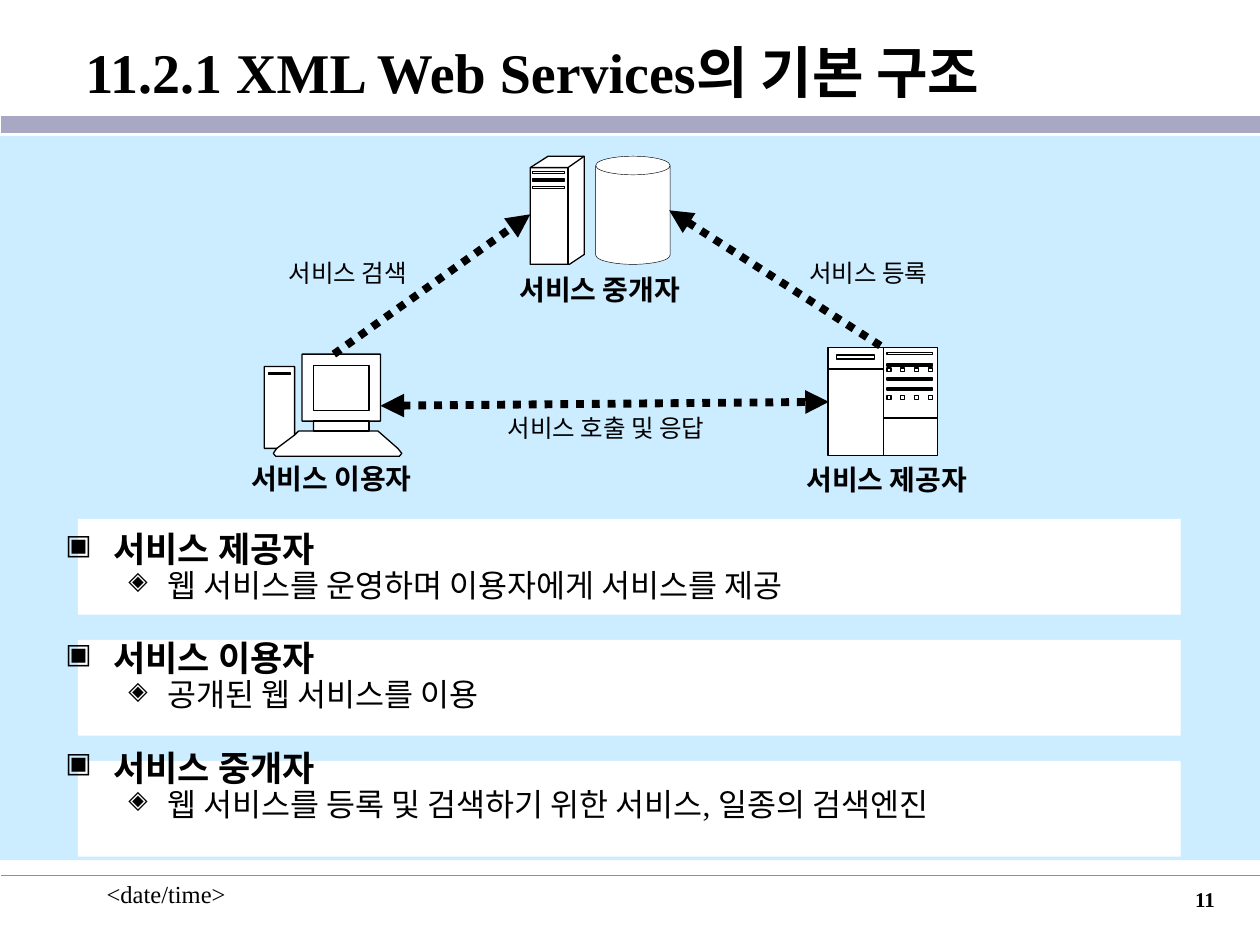
from dataclasses import dataclass
from typing import NamedTuple

from lxml import etree
from pptx import Presentation
from pptx.dml.color import RGBColor
from pptx.enum.dml import MSO_LINE
from pptx.enum.shapes import MSO_CONNECTOR, MSO_SHAPE
from pptx.enum.text import MSO_ANCHOR, PP_ALIGN
from pptx.oxml.ns import qn
from pptx.util import Cm, Pt

STRAIGHT = MSO_CONNECTOR.STRAIGHT
RECTANGLE, CAN = MSO_SHAPE.RECTANGLE, MSO_SHAPE.CAN
DOTTED = MSO_LINE.ROUND_DOT
LEFT, CENTER, RIGHT = PP_ALIGN.LEFT, PP_ALIGN.CENTER, PP_ALIGN.RIGHT
TOP, MIDDLE = MSO_ANCHOR.TOP, MSO_ANCHOR.MIDDLE
SERIF, KOREAN = "Times New Roman", "Noto Sans CJK KR"
COLORS = {
    "ink": "000000",
    "paper": "FFFFFF",
    "panel": "CCECFF",
    "header": "A8A8C4",
    "footer": "8C8CB2",
}


class Box(NamedTuple):
    left: float
    top: float
    width: float
    height: float


class Contour(NamedTuple):
    points: list
    closed: bool = False


@dataclass
class Label:
    text: str
    box: Box
    size: float
    bold: bool = False
    font: str = SERIF
    align: PP_ALIGN = LEFT
    anchor: MSO_ANCHOR = TOP
    wrap: bool = True
    line_spacing: float = 1.0
    space_before: float = 0
    margin_left: float = 0.25


@dataclass
class Line:
    start: tuple
    end: tuple
    color: str
    width: float
    dotted: bool = False
    ends: tuple = ()


@dataclass
class Icon:
    left: float
    top: float
    body: list
    details: list


@dataclass
class Level:
    bullet: str
    size: float
    bold: bool
    margin: float
    indent: float


def bar(left: int, top: int, right: int, bottom: int) -> Contour:
    """Return a closed rectangular contour."""
    return Contour([(left, top), (right, top), (right, bottom), (left, bottom)], True)


def color(name: str) -> RGBColor:
    """Look up a colour by name."""
    return RGBColor.from_string(COLORS[name])


def format_runs(paragraph, size: float, bold: bool, font: str = SERIF) -> None:
    """Format every run of a paragraph."""
    for run in paragraph.runs:
        run.font.size, run.font.bold, run.font.name = Pt(size), bold, font
        run.font.color.rgb = color("ink")
        etree.SubElement(run.font._element, qn("a:ea"), typeface=KOREAN)


def add_text_frame(slide, box: Box):
    """Add an empty text box and return its frame."""
    frame = slide.shapes.add_textbox(*map(Cm, box)).text_frame
    frame.word_wrap = True
    frame.margin_left = frame.margin_right = Cm(0.25)
    frame.margin_top = frame.margin_bottom = Cm(0.13)
    return frame


def add_label(slide, label: Label) -> None:
    """Draw one line of text."""
    frame = add_text_frame(slide, label.box)
    frame.text = label.text
    frame.word_wrap = label.wrap
    frame.vertical_anchor = label.anchor
    frame.margin_left = Cm(label.margin_left)
    paragraph = frame.paragraphs[0]
    paragraph.alignment = label.align
    paragraph.line_spacing = label.line_spacing
    paragraph.space_before = Pt(label.space_before)
    format_runs(paragraph, label.size, label.bold, label.font)


def style_shape(shape, fill: str = "", line_width: float = 0) -> None:
    """Set fill, outline and shadow of a shape."""
    shape.shadow.inherit = False
    if fill:
        shape.fill.solid()
        shape.fill.fore_color.rgb = color(fill)
    else:
        shape.fill.background()
    if line_width:
        shape.line.color.rgb = color("ink")
        shape.line.width = Pt(line_width)
    else:
        shape.line.fill.background()


def add_block(slide, kind, box: Box, fill: str, line_width: float = 0) -> None:
    """Draw a preset shape."""
    style_shape(slide.shapes.add_shape(kind, *map(Cm, box)), fill, line_width)


def add_line(slide, line: Line) -> None:
    """Draw a straight line, with arrowheads where asked."""
    connector = slide.shapes.add_connector(STRAIGHT, *map(Cm, line.start + line.end))
    connector.line.color.rgb = color(line.color)
    connector.line.width = Pt(line.width)
    if line.dotted:
        connector.line.dash_style = DOTTED
    outline = connector.line._get_or_add_ln()
    for end in line.ends:
        etree.SubElement(outline, qn(f"a:{end}"), type="triangle")
    etree.SubElement(connector._element.spPr, qn("a:effectLst"))


def add_contours(slide, icon: Icon, contours: list, fill: str = "") -> None:
    """Draw contours, given in hundredths of a centimetre, as one freeform."""
    builder = slide.shapes.build_freeform(*contours[0].points[0], scale=Cm(0.01))
    for index, contour in enumerate(contours):
        if index:
            builder.move_to(*contour.points[0])
        builder.add_line_segments(contour.points[1:], close=contour.closed)
    style_shape(builder.convert_to_shape(Cm(icon.left), Cm(icon.top)), fill, 0.75)


def add_roles(slide, roles: list, levels: tuple) -> None:
    """Write the bulleted roles, one heading and one description each."""
    frame = add_text_frame(slide, Box(1.07, 10.74, 23.27, 6.78))
    for index, role in enumerate(roles):
        for depth, (text, level) in enumerate(zip(role, levels)):
            paragraph = frame.add_paragraph() if index or depth else frame.paragraphs[0]
            paragraph.text = text
            paragraph.level = depth
            paragraph.line_spacing = 0.7
            paragraph.space_before = Pt(4.5 if depth else 26 if index else 5)
            properties = paragraph._p.get_or_add_pPr()
            properties.set("marL", str(Cm(level.margin)))
            properties.set("indent", str(Cm(level.indent)))
            bullet_color = etree.SubElement(properties, qn("a:buClr"))
            etree.SubElement(bullet_color, qn("a:srgbClr"), val=COLORS["ink"])
            etree.SubElement(properties, qn("a:buSzPct"), val="80000")
            etree.SubElement(properties, qn("a:buChar"), char=level.bullet)
            format_runs(paragraph, level.size, level.bold)


RULES = [
    Line((0.03, 2.51), (25.4, 2.51), "header", 9.25),
    Line((0.03, 17.65), (25.4, 17.65), "footer", 1),
]
ARROWS = [
    Line((7.67, 8.18), (16.71, 8.1), "ink", 4.5, True, ("headEnd", "tailEnd")),
    Line((6.73, 7.14), (10.69, 4.32), "ink", 4.5, True, ("tailEnd",)),
    Line((13.49, 4.24), (17.81, 7.01), "ink", 4.5, True, ("headEnd",)),
]
COMPUTER = Icon(5.33, 7.14, [Contour([
    (61, 163), (69, 155), (99, 155), (99, 135), (76, 135), (76, 0), (234, 0),
    (234, 135), (211, 135), (211, 155), (229, 155), (269, 190), (277, 200),
    (272, 206), (23, 206), (18, 200), (25, 190), (0, 190), (0, 25), (61, 25)], True)],
    [bar(99, 23, 211, 114), bar(8, 38, 53, 41), bar(99, 135, 211, 155),
     Contour([(61, 163), (25, 190)])])
PROVIDER = Icon(16.69, 7.01, [bar(0, 0, 221, 218)],
    [bar(18, 15, 94, 23), Contour([(0, 43), (112, 43)]),
     Contour([(112, 0), (112, 218)]), Contour([(112, 142), (221, 142)])]
    + [bar(119, top, 211, top + 4) for top in (10, 33, 61, 81)]
    + [bar(119 + 28 * column, top, 127 + 28 * column, top + 7)
       for top in (41, 97) for column in range(4)])
SERVER = Icon(10.69, 3.15, [Contour([
    (0, 23), (36, 0), (109, 0), (109, 198), (79, 218), (0, 218)], True)],
    [Contour([(0, 23), (76, 23), (109, 0)]), Contour([(76, 23), (76, 218)])]
    + [bar(5, top, 69, top + 4) for top in (31, 46, 61)])
ROLES = [
    ("서비스 제공자", "웹 서비스를 운영하며 이용자에게 서비스를 제공"),
    ("서비스 이용자", "공개된 웹 서비스를 이용"),
    ("서비스 중개자", "웹 서비스를 등록 및 검색하기 위한 서비스, 일종의 검색엔진"),
]
LEVELS = (Level("▣", 20, True, 0.97, -0.97), Level("◈", 18, False, 2.06, -0.79))
ACTORS = [("서비스 제공자", 16, 9.3), ("서비스 이용자", 4.8, 9.27), ("서비스 중개자", 10.21, 5.46)]
ACTIONS = [("서비스 등록", 15.98, 5.16, 3.05), ("서비스 검색", 5.49, 5.16, 3.05),
           ("서비스 호출 및 응답", 9.86, 8.28, 4.72)]
LABELS = [
    Label("<date/time>", Box(1.9, 17.6, 5.28, 1.27), 14),
    Label("11", Box(19.46, 17.75, 5.28, 1.27), 12, True, align=RIGHT),
    Label("11.2.1 XML Web Services의 기본 구조", Box(0.03, 0.28, 25.37, 2.29), 32, True,
          anchor=MIDDLE, margin_left=1.69),
    *(Label(text, Box(left, top, 3.76, 0.84), 16, True, KOREAN, CENTER, TOP, False, 0.85, 10)
      for text, left, top in ACTORS),
    *(Label(text, Box(left, top, width, 0.76), 14, False, SERIF, CENTER, TOP, False, 0.85, 8.8)
      for text, left, top, width in ACTIONS),
]


def main() -> None:
    """Build the slide and save it."""
    presentation = Presentation()
    presentation.slide_width, presentation.slide_height = Cm(25.4), Cm(19.05)
    slide = presentation.slides.add_slide(presentation.slide_layouts[6])
    for rule in RULES:
        add_line(slide, rule)
    add_block(slide, RECTANGLE, Box(0, 2.74, 25.4, 14.6), "panel")
    for index in range(len(ROLES)):
        add_block(slide, RECTANGLE, Box(1.57, 10.46 + 2.44 * index, 22.23, 1.93), "paper")
    add_roles(slide, ROLES, LEVELS)
    for icon in (COMPUTER, PROVIDER, SERVER):
        add_contours(slide, icon, icon.body, "paper")
        add_contours(slide, icon, icon.details)
    add_block(slide, CAN, Box(12.01, 3.15, 1.5, 2.18), "paper", 0.25)
    for arrow in ARROWS:
        add_line(slide, arrow)
    for label in LABELS:
        add_label(slide, label)
    presentation.save("out.pptx")


if __name__ == "__main__":
    main()
